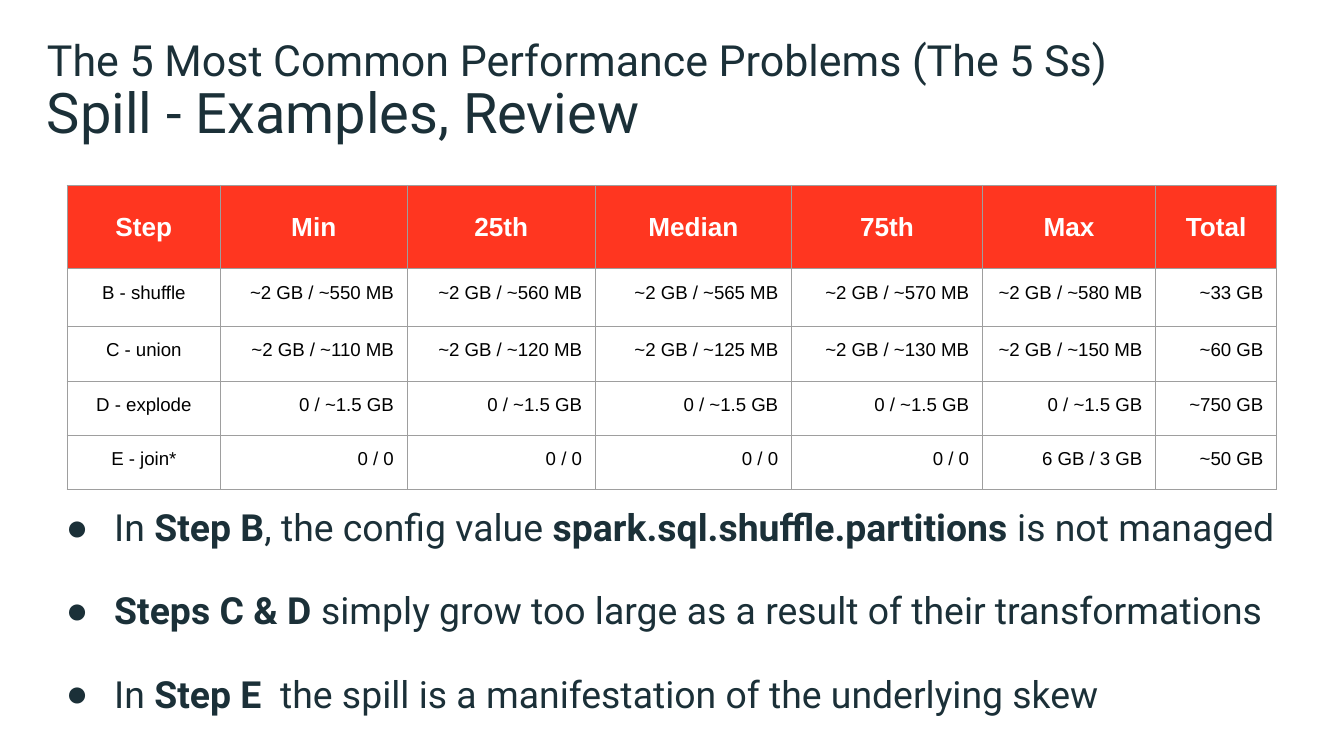
from lxml import etree
from pptx import Presentation
from pptx.dml.color import RGBColor
from pptx.enum import text
from pptx.oxml import ns
from pptx.util import Inches, Pt

INK, RED, WHITE, BLACK, GREY = "1B3038", "FF3620", "FFFFFF", "000000", "9E9E9E"
WIDTHS = [1.14, 1.39, 1.4, 1.46, 1.42, 1.29, 0.9]
HEIGHTS = [0.62, 0.43, 0.41, 0.4, 0.4]
ROWS = [
    ["Step", "Min", "25th", "Median", "75th", "Max", "Total"],
    ["B - shuffle", *[f"~2 GB / ~{n} MB" for n in (550, 560, 565, 570, 580)], "~33 GB"],
    ["C - union", *[f"~2 GB / ~{n} MB" for n in (110, 120, 125, 130, 150)], "~60 GB"],
    ["D - explode", *["0 / ~1.5 GB"] * 5, "~750 GB"],
    ["E - join*", *["0 / 0"] * 4, "6 GB / 3 GB", "~50 GB"],
]
# Each point is a list of (words, bold) runs
POINTS = [
    [("In ", False), ("Step B", True), (", the config value ", False),
     ("spark.sql.shuffle.partitions", True), (" is not managed", False)],
    [("Steps C & D ", True),
     ("simply grow too large as a result of their transformations", False)],
    [("In ", False), ("Step E", True),
     ("  the spill is a manifestation of the underlying skew", False)],
]


def color(code):
    return RGBColor.from_string(code)


def add_run(para, words, size, font, code, bold=False):
    run = para.add_run()
    run.text = words
    run.font.size = Pt(size)
    run.font.name = font
    run.font.bold = bold
    run.font.color.rgb = color(code)


def add_box(slide, left, top, width, height, inset=0, pad=0):
    box = slide.shapes.add_textbox(*map(Inches, (left, top, width, height)))
    frame = box.text_frame
    frame.word_wrap = True
    frame.margin_left, frame.margin_right = Inches(inset), 0
    frame.margin_top = frame.margin_bottom = Inches(pad)
    return frame


def add_title(slide, top, words, size):
    frame = add_box(slide, 0, top, 10, 0.5, inset=0.35)
    add_run(frame.paragraphs[0], words, size, "Roboto", INK)


def add_border(cell):
    props = cell._tc.get_or_add_tcPr()
    for i, side in enumerate(("lnL", "lnR", "lnT", "lnB")):
        line = etree.Element(ns.qn(f"a:{side}"), w=str(Pt(0.75)))
        fill = etree.SubElement(line, ns.qn("a:solidFill"))
        etree.SubElement(fill, ns.qn("a:srgbClr"), val=GREY)
        props.insert(i, line)


def fill_cell(cell, words, head, first):
    cell.margin_left = cell.margin_right = Inches(0.1)
    cell.margin_top = cell.margin_bottom = Inches(0.1)
    cell.vertical_anchor = text.MSO_ANCHOR.MIDDLE if head else text.MSO_ANCHOR.TOP
    cell.fill.solid()
    cell.fill.fore_color.rgb = color(RED if head else WHITE)
    add_border(cell)
    para = cell.text_frame.paragraphs[0]
    para.alignment = text.PP_ALIGN.CENTER if head or first else text.PP_ALIGN.RIGHT
    add_run(para, words, 14 if head else 10, "Arial", WHITE if head else BLACK, head)


def add_grid(slide):
    size = sum(WIDTHS), sum(HEIGHTS)
    table = slide.shapes.add_table(
        len(ROWS), len(WIDTHS), *map(Inches, (0.5, 1.38, *size))).table
    for col, width in zip(table.columns, WIDTHS):
        col.width = Inches(width)
    for r, (row, height) in enumerate(zip(ROWS, HEIGHTS)):
        table.rows[r].height = Inches(height)
        for c, words in enumerate(row):
            fill_cell(table.cell(r, c), words, r == 0, c == 0)


def add_bullet(para):
    props = para._p.get_or_add_pPr()
    props.set("marL", str(Inches(0.5)))
    props.set("indent", str(Inches(-0.36)))
    tint = etree.SubElement(props, ns.qn("a:buClr"))
    etree.SubElement(tint, ns.qn("a:srgbClr"), val=INK)
    etree.SubElement(props, ns.qn("a:buFont"), typeface="Arial")
    etree.SubElement(props, ns.qn("a:buChar"), char="●")


def add_points(slide):
    frame = add_box(slide, 0.35, 3.75, 9.65, 1.67, pad=0.04)
    for i, runs in enumerate(POINTS):
        para = frame.add_paragraph() if i else frame.paragraphs[0]
        para.line_spacing = 0.9
        para.space_after = Pt(23)
        add_bullet(para)
        for words, bold in runs:
            add_run(para, words, 20, "Roboto", INK, bold)


def main():
    deck = Presentation()
    # Widescreen, 16 to 9
    deck.slide_width = Inches(10)
    deck.slide_height = deck.slide_width * 9 // 16
    slide = deck.slides.add_slide(deck.slide_layouts[6])
    # Headings
    add_title(slide, 0.25, "The 5 Most Common Performance Problems (The 5 Ss)", 23)
    add_title(slide, 0.58, "Spill - Examples, Review", 30)
    # Spill sizes by step
    add_grid(slide)
    # Findings
    add_points(slide)
    deck.save("out.pptx")


if __name__ == "__main__":
    main()
